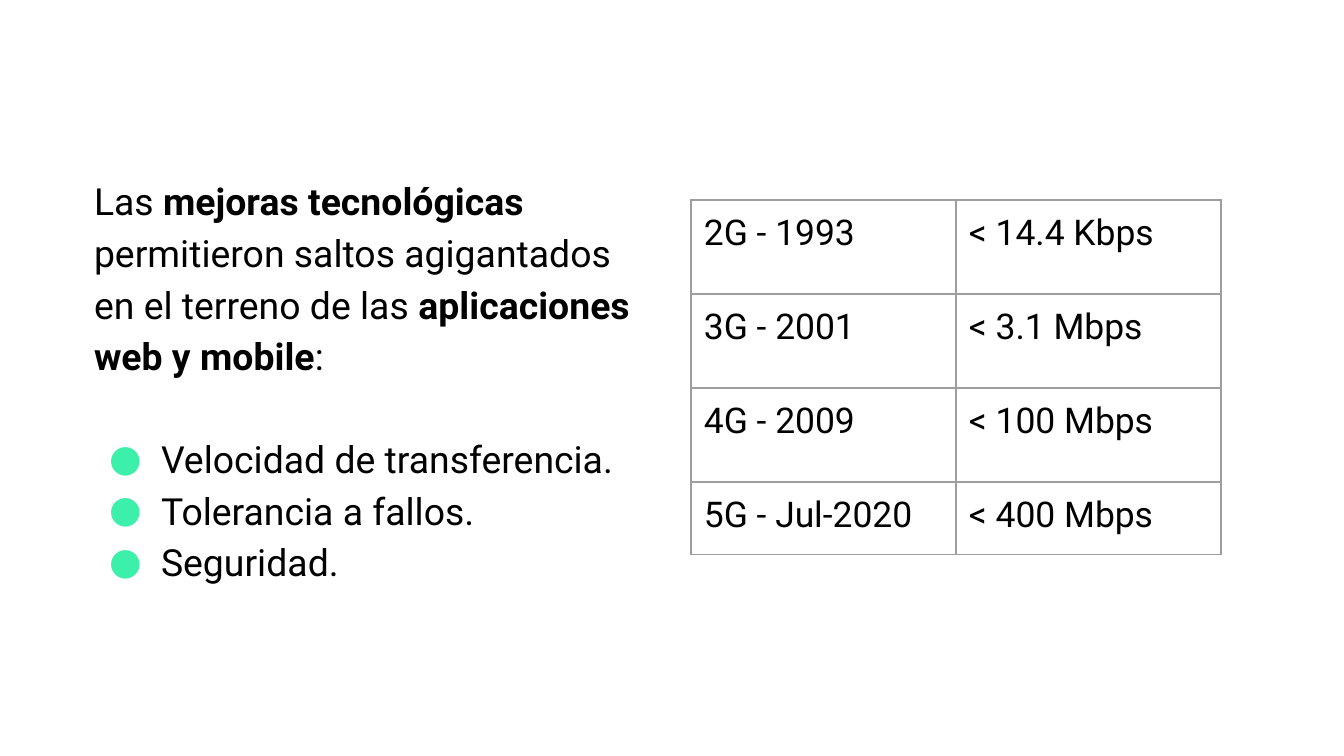
"""Build a slide on mobile network improvements with a table of speeds."""
import lxml.etree
import pptx
import pptx.dml.color
import pptx.enum.text
import pptx.oxml.ns
import pptx.util

INTRO = [
    ("Las ", False),
    ("mejoras tecnológicas ", True),
    ("permitieron saltos agigantados en el terreno de las ", False),
    ("aplicaciones web y mobile", True),
    (":", False),
]
BENEFITS = ["Velocidad de transferencia.", "Tolerancia a fallos.", "Seguridad."]
GENERATIONS = [
    ("2G - 1993", "< 14.4 Kbps"),
    ("3G - 2001", "< 3.1 Mbps"),
    ("4G - 2009", "< 100 Mbps"),
    ("5G - Jul-2020", "< 400 Mbps"),
]
COLORS = {"text": "000000", "bullet": "3CEFAB", "border": "9E9E9E"}
FONT = "Roboto"
SLIDE_SIZE = (1344, 756)
MESSAGE_BOX = (81, 116, 591, 524)
TABLE_ORIGIN = (691, 200)
COLUMN_WIDTH = 265
ROW_HEIGHTS = (94, 94, 94, 73)
INSET = 13
BULLET_INDENT = (67, -52)


def px(length):
    return pptx.util.Emu(round(length * 914400 / 134.4))


def add_text(paragraph, text, size=20, bold=False):
    run = paragraph.add_run()
    run.text = text
    run.font.name = FONT
    run.font.size = pptx.util.Pt(size)
    run.font.bold = bold
    run.font.color.rgb = pptx.dml.color.RGBColor.from_string(COLORS["text"])


def add_element(parent, tag, **attributes):
    return lxml.etree.SubElement(parent, pptx.oxml.ns.qn(tag), **attributes)


def add_bullet(paragraph):
    properties = paragraph._p.get_or_add_pPr()
    margin, indent = BULLET_INDENT
    properties.set("marL", str(px(margin)))
    properties.set("indent", str(px(indent)))
    add_element(add_element(properties, "a:buClr"), "a:srgbClr", val=COLORS["bullet"])
    add_element(properties, "a:buFont", typeface=FONT)
    add_element(properties, "a:buChar", char="●")


def set_insets(holder):
    holder.margin_left = holder.margin_right = px(INSET)
    holder.margin_top = holder.margin_bottom = px(INSET)


def add_borders(cell):
    properties = cell._tc.get_or_add_tcPr()
    for position, side in enumerate(("a:lnL", "a:lnR", "a:lnT", "a:lnB")):
        line = lxml.etree.Element(pptx.oxml.ns.qn(side), w=str(pptx.util.Pt(0.75)))
        add_element(add_element(line, "a:solidFill"), "a:srgbClr", val=COLORS["border"])
        properties.insert(position, line)


def add_message(slide):
    message = slide.shapes.add_textbox(*map(px, MESSAGE_BOX)).text_frame
    message.word_wrap = True
    message.vertical_anchor = pptx.enum.text.MSO_ANCHOR.MIDDLE
    set_insets(message)
    intro = message.paragraphs[0]
    intro.line_spacing = 1.15
    for text, bold in INTRO:
        add_text(intro, text, bold=bold)
    for position, text in enumerate(BENEFITS):
        benefit = message.add_paragraph()
        benefit.line_spacing = 1.15
        if position == 0:
            benefit.space_before = pptx.util.Pt(27.6)
        add_bullet(benefit)
        add_text(benefit, text)


def add_speeds(slide):
    columns = len(GENERATIONS[0])
    size = (COLUMN_WIDTH * columns, sum(ROW_HEIGHTS))
    speeds = slide.shapes.add_table(
        len(GENERATIONS), columns, *map(px, TABLE_ORIGIN + size)
    ).table
    speeds.first_row = speeds.horz_banding = False
    for column in speeds.columns:
        column.width = px(COLUMN_WIDTH)
    for row, height, texts in zip(speeds.rows, ROW_HEIGHTS, GENERATIONS):
        row.height = px(height)
        for cell, text in zip(row.cells, texts):
            cell.fill.background()
            set_insets(cell)
            add_borders(cell)
            add_text(cell.text_frame.paragraphs[0], text, size=19)


def main():
    presentation = pptx.Presentation()
    presentation.slide_width, presentation.slide_height = map(px, SLIDE_SIZE)
    slide = presentation.slides.add_slide(presentation.slide_layouts[6])
    add_message(slide)
    add_speeds(slide)
    presentation.save("out.pptx")


if __name__ == "__main__":
    main()
